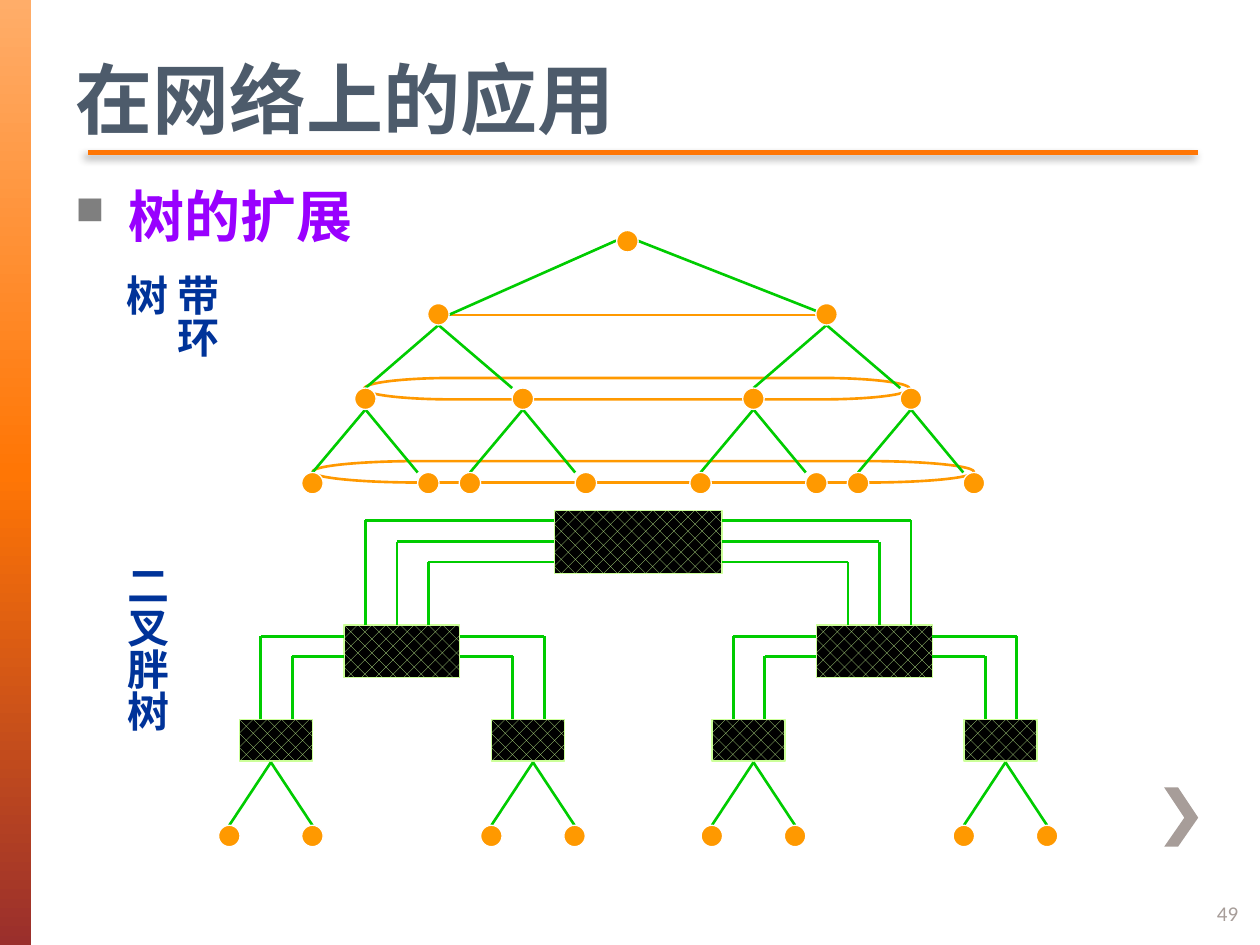
from dataclasses import dataclass
from copy import deepcopy
from lxml import etree
from pptx import Presentation
from pptx.dml.color import RGBColor
from pptx.enum.dml import MSO_PATTERN
from pptx.enum.shapes import MSO_CONNECTOR, MSO_SHAPE
from pptx.enum.text import MSO_ANCHOR
from pptx.oxml.ns import qn
from pptx.util import Inches, Pt

STRAIGHT = MSO_CONNECTOR.STRAIGHT
RECTANGLE, OVAL, RING = MSO_SHAPE.RECTANGLE, MSO_SHAPE.OVAL, MSO_SHAPE.FLOWCHART_TERMINATOR
TOP, MIDDLE = MSO_ANCHOR.TOP, MSO_ANCHOR.MIDDLE
DOTTED = MSO_PATTERN.PERCENT_25
LEFT_SIDE, RIGHT_SIDE = 1, 3


@dataclass(frozen=True)
class Theme:
    accent: str = "FF7605"
    accent_light: str = "FFAD69"
    accent_dark: str = "9A2F2C"
    muted: str = "A79D99"
    title: str = "4D5B6B"
    topic: str = "9900FF"
    label: str = "003399"
    bullet: str = "7F7F7F"
    node: str = "FF9900"
    wire: str = "00CC00"
    switch: str = "CCFF99"
    black: str = "000000"
    white: str = "FFFFFF"
    title_size: int = 44
    topic_size: int = 32
    label_size: int = 24
    number_size: int = 12
    heading_font: str = "Calibri"
    body_font: str = "Times New Roman"


theme = Theme()
color = RGBColor.from_string
deck = Presentation()
deck.slide_width, deck.slide_height = Inches(10), Inches(7.5)
page = deck.slides.add_slide(deck.slide_layouts[6])


def add_text(text, left, top, width, height, *, size, ink, font, bold=True,
             anchor=TOP, vertical=False, bottom=0.05, bullet=None):
    box = page.shapes.add_textbox(Inches(left), Inches(top), Inches(width), Inches(height))
    frame = box.text_frame
    frame.word_wrap = True
    frame.vertical_anchor = anchor
    frame.margin_bottom = Inches(bottom)
    body = frame._txBody.find(qn("a:bodyPr"))
    if vertical:
        body.set("vert", "eaVert")
    para = frame.paragraphs[0]
    if bullet:
        props = para._p.get_or_add_pPr()
        props.set("marL", str(Inches(0.92)))
        props.set("indent", str(Inches(-0.42)))
        tint = etree.SubElement(props, qn("a:buClr"))
        etree.SubElement(tint, qn("a:srgbClr"), val=theme.bullet)
        etree.SubElement(props, qn("a:buSzPct"), val="70000")
        etree.SubElement(props, qn("a:buChar"), char=bullet)
    span = para.add_run()
    span.text = text
    span.font.size, span.font.bold, span.font.name = Pt(size), bold, font
    span.font.color.rgb = color(ink)


def add_line(start, end, ink, weight=1.5):
    line = page.shapes.add_connector(STRAIGHT, *(Inches(value) for value in (*start, *end)))
    line.line.color.rgb = color(ink)
    line.line.width = Pt(weight)
    etree.SubElement(line._element.spPr, qn("a:effectLst"))
    return line


band = page.shapes.add_shape(RECTANGLE, 0, 0, Inches(0.25), Inches(7.5))
band.shadow.inherit = False
band.line.fill.background()
band.fill.gradient()
band.fill.gradient_angle = 270
stops = band._element.spPr.find(".//" + qn("a:gsLst"))
stops.append(deepcopy(stops[-1]))
shades = (theme.accent_light, theme.accent, theme.accent_dark)
for stop, position, shade in zip(band.fill.gradient_stops, (0, 0.5, 1), shades):
    stop.position = position
    stop.color.rgb = color(shade)

outline = page.shapes.build_freeform(Inches(9.35), Inches(6.25), scale=1.0)
corners = [(9.24, 6.25), (9.4, 6.49), (9.24, 6.72), (9.35, 6.72), (9.51, 6.49)]
outline.add_line_segments([(Inches(x), Inches(y)) for x, y in corners])
chevron = outline.convert_to_shape()
chevron.shadow.inherit = False
chevron.fill.solid()
chevron.fill.fore_color.rgb = color(theme.muted)
chevron.line.fill.background()

rule = add_line((0.7, 1.21), (9.51, 1.21), theme.accent, 2.5)
shadow = etree.SubElement(rule._element.spPr.find(qn("a:effectLst")), qn("a:outerShdw"),
                          blurRad=str(Pt(5)), dist=str(Pt(3)), dir="8100000")
shade = etree.SubElement(shadow, qn("a:srgbClr"), val=theme.black)
etree.SubElement(shade, qn("a:alpha"), val="45000")

for left, top, width in [(2.48, 3.66, 5.25), (2.89, 3, 4.33)]:
    ring = page.shapes.add_shape(RING, Inches(left), Inches(top), Inches(width), Inches(0.17))
    ring.shadow.inherit = False
    ring.fill.background()
    ring.line.color.rgb = color(theme.node)
    ring.line.width = Pt(1.5)

dot = 0.17
radius = dot / 2
nodes = [(4.98, 1.83)]
wires = [((4.89, 1.91), (3.56, 2.5)), ((5.06, 1.91), (6.56, 2.5))]
level = [3.48, 6.56]
nodes += [(x, 2.41) for x in level]
for top, left_step, right_step in [(3.08, 0.58, 0.67), (3.75, 0.42, 0.5)]:
    children = []
    for parent in level:
        left_child, right_child = parent - left_step, parent + right_step
        children += [left_child, right_child]
        wires += [((parent, top - 0.5), (left_child, top)),
                  ((parent, top - 0.5), (right_child - radius, top))]
    nodes += [(x, top) for x in children]
    level = children
add_line((6.48, 2.5), (3.56, 2.5), theme.node)

for apex in (2.15, 4.23, 5.98, 7.98):
    for x in (apex - 0.33, apex + 0.33):
        wires.append(((apex, 6.05), (x, 6.55)))
        nodes.append((x, 6.55))

half_shift = 3.75
switches = [(4.4, 4.05, 1.33, 0.5)]
for shift in (0, half_shift):
    switches.append((2.73 + shift, 4.96, 0.92, 0.42))
    switches += [(x + shift, 5.71, 0.58, 0.33) for x in (1.9, 3.9)]
    for x, y, side in [(2.07, 5.05, 2.73), (2.32, 5.21, 2.73), (4.32, 5.05, 3.65), (4.07, 5.21, 3.65)]:
        wires += [((x + shift, y), (side + shift, y)), ((x + shift, y), (x + shift, 5.71))]

blocks = []
for bounds in switches:
    block = page.shapes.add_shape(RECTANGLE, *(Inches(value) for value in bounds))
    block.shadow.inherit = False
    block.fill.patterned()
    block.fill.pattern = DOTTED
    block.fill.fore_color.rgb = color(theme.switch)
    block.fill.back_color.rgb = color(theme.black)
    block.line.color.rgb = color(theme.switch)
    block.line.width = Pt(0.75)
    blocks.append(block)

for offset, y in [(0, 4.13), (0.25, 4.3), (0.5, 4.46)]:
    for x, side, site in [(2.9 + offset, 4.4, LEFT_SIDE), (7.23 - offset, 5.73, RIGHT_SIDE)]:
        link = add_line((x, y), (side, y), theme.wire)
        if y == 4.3:
            link.end_connect(blocks[0], site)
        wires.append(((x, y), (x, 4.96)))

for start, end in wires:
    add_line(start, end, theme.wire)

for center, top in nodes:
    node = page.shapes.add_shape(OVAL, Inches(center - radius), Inches(top), Inches(dot), Inches(dot))
    node.shadow.inherit = False
    node.fill.solid()
    node.fill.fore_color.rgb = color(theme.node)
    node.line.color.rgb = color(theme.white)
    node.line.width = Pt(0.75)

label_format = dict(size=theme.label_size, ink=theme.label, font=theme.body_font, vertical=True)
add_text("带环树", 1.2, 2.08, 0.61, 1.17, bottom=0.3, **label_format)
add_text("二叉胖树", 0.81, 4.38, 0.61, 1.58, **label_format)
add_text("树的扩展", 0, 1.39, 9.43, 0.59, size=theme.topic_size, ink=theme.topic,
         font=theme.body_font, bullet="■")
add_text("在网络上的应用", 0.5, 0.36, 9, 0.79, size=theme.title_size, ink=theme.title,
         font=theme.heading_font)
add_text("49", 9.56, 7.05, 0.42, 0.4, size=theme.number_size, ink=theme.muted,
         font=theme.heading_font, bold=False, anchor=MIDDLE)

deck.save("out.pptx")
